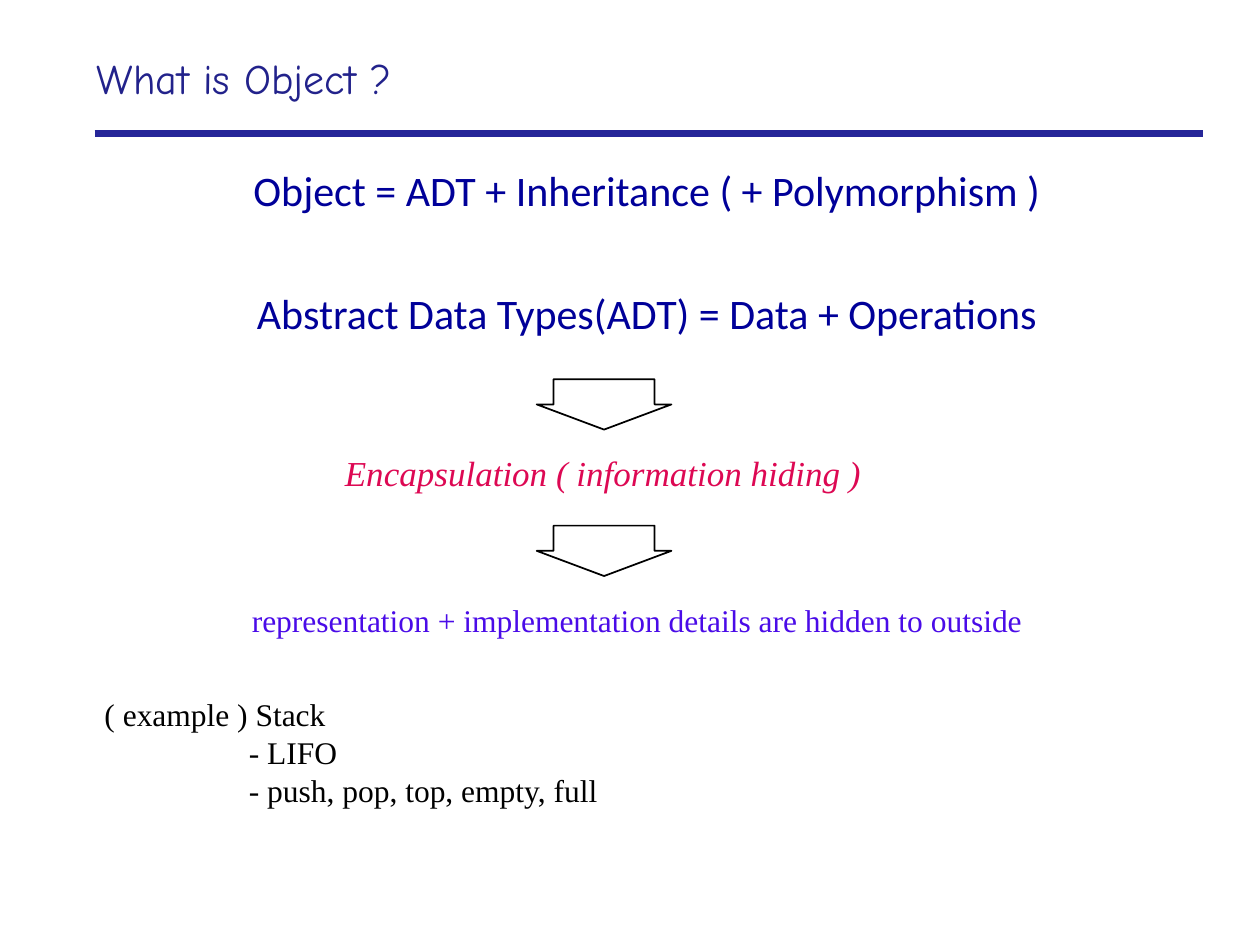
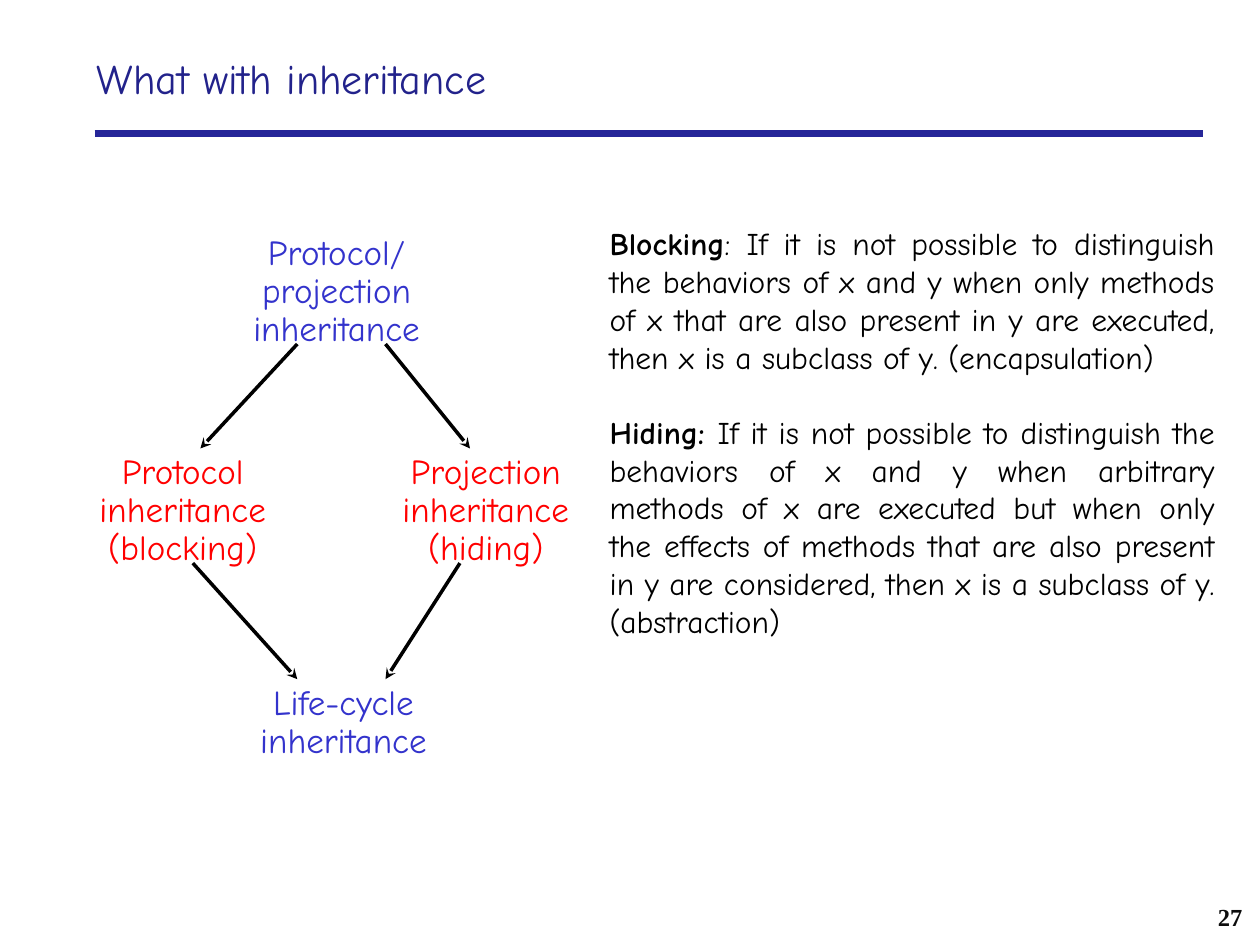
from dataclasses import dataclass

from lxml.etree import SubElement
from pptx import Presentation
from pptx.dml.color import RGBColor
from pptx.enum.shapes import MSO_CONNECTOR, MSO_SHAPE
from pptx.enum.text import MSO_ANCHOR, PP_ALIGN
from pptx.oxml.ns import qn
from pptx.util import Pt


@dataclass(frozen=True)
class Style:
    font: str
    size: float
    color: str
    bold: bool = False
    italic: bool = False


@dataclass(frozen=True)
class Theme:
    rule: str = "262699"
    black: str = "000000"
    white: str = "FFFFFF"
    title: Style = Style("Comic Neue", 24, "22228B")
    formula: Style = Style("Calibri", 24, "000099")
    principle: Style = Style("Times New Roman", 20, "DD0853", italic=True)
    detail: Style = Style("Times New Roman", 18, "4A0BE8")
    example: Style = Style("Times New Roman", 18, "000000")
    general: Style = Style("Comic Neue", 20, "3333CC")
    variant: Style = Style("Comic Neue", 20, "FF0000")
    definition: Style = Style("Comic Neue", 18, "000000")
    number: Style = Style("Times New Roman", 14, "0D0D0D", bold=True)


T = Theme()

# Content; boxes are left, top, width, height in points
FORMULAS = ["Object = ADT + Inheritance ( + Polymorphism )",
            "Abstract Data Types(ADT) = Data + Operations"]
STATEMENTS = [
    ("Encapsulation ( information hiding )", (190, 254.2, 309.6, 31), T.principle),
    ("representation + implementation details are hidden to outside",
     (136.8, 339.8, 455, 29), T.detail),
]
EXAMPLE = ["( example ) Stack", "- LIFO", "- push, pop, top, empty, full"]
DOWN_ARROW_TOPS = [216.7, 300.4]

LABELS = [
    ("Protocol/\vprojection inheritance", (128.2, 131, 128.2, 72), T.general),
    ("Protocol inheritance (blocking)", (16.6, 256.3, 175.7, 72), T.variant),
    ("Projection inheritance (hiding)", (200.9, 256.3, 153.4, 72), T.variant),
    ("Life-cycle\vinheritance", (110.2, 388.1, 172.1, 50.4), T.general),
]
# Start y, end y, and (start x, end x) of the left and right arrow
ARROW_LEVELS = [
    (196.6, 256.3, [(169.9, 114.5), (220.3, 268.6)]),
    (321.8, 388.1, [(110.2, 169.9), (262.8, 220.3)]),
]
DEFINITIONS = [
    ("Blocking",
     ": If it is not possible to distinguish the behaviors of x and y when only "
     "methods of x that are also present in y are executed, then x is a subclass "
     "of y. (encapsulation)"),
    ("Hiding: ",
     "If it is not possible to distinguish the behaviors of x and y when arbitrary "
     "methods of x are executed but when only the effects of methods that are also "
     "present in y are considered, then x is a subclass of y. (abstraction)"),
]


def rgb(color):
    return RGBColor.from_string(color)


def points(values):
    return [Pt(v) for v in values]


def format_runs(p, style):
    for r in p.runs:
        f = r.font
        f.name, f.size, f.bold, f.italic = style.font, Pt(style.size), style.bold, style.italic
        f.color.rgb = rgb(style.color)


def add_text(s, lines, box, style, align=PP_ALIGN.LEFT, anchor=MSO_ANCHOR.TOP,
             wrap=True, gap=0, spacing=None):
    """Add a text box, one paragraph per line; gap is the space between paragraphs."""
    tf = s.shapes.add_textbox(*points(box)).text_frame
    tf.word_wrap, tf.vertical_anchor = wrap, anchor
    for i, line in enumerate(lines):
        p = tf.paragraphs[0] if i == 0 else tf.add_paragraph()
        if isinstance(line, str):
            p.text = line
        else:
            for part in line:
                p.add_run().text = part
        p.alignment = align
        if spacing:
            p.line_spacing = spacing
        if i and gap:
            p.space_before = Pt(gap)
        format_runs(p, style)
    return tf


def add_line(s, start, end, color, width, arrow=False):
    c = s.shapes.add_connector(MSO_CONNECTOR.STRAIGHT, *points(start + end))
    c.line.color.rgb, c.line.width = rgb(color), Pt(width)
    if arrow:
        SubElement(c.line._get_or_add_ln(), qn("a:tailEnd"), type="stealth")
    SubElement(c._element.spPr, qn("a:effectLst"))


def add_slide(prs, title):
    s = prs.slides.add_slide(prs.slide_layouts[6])
    add_line(s, (54, 76.3), (687.6, 76.3), T.rule, 4)
    add_text(s, [title], (48.2, 20.2, 595.4, 48.2), T.title, anchor=MSO_ANCHOR.MIDDLE)
    return s


def build_object(prs):
    s = add_slide(prs, "What is Object ?")
    add_text(s, FORMULAS, (54, 90.7, 631.4, 415.4), T.formula, PP_ALIGN.CENTER, gap=41.3)
    for text, box, style in STATEMENTS:
        add_text(s, [text], box, style, wrap=False)
    for top in DOWN_ARROW_TOPS:
        sp = s.shapes.add_shape(MSO_SHAPE.DOWN_ARROW, *points((306.7, top, 77, 28.8)))
        sp.adjustments[0], sp.adjustments[1] = 0.75, 0.5
        sp.shadow.inherit = False
        sp.fill.solid()
        sp.fill.fore_color.rgb = rgb(T.white)
        sp.line.color.rgb, sp.line.width = rgb(T.black), Pt(1)
    tf = add_text(s, EXAMPLE, (52.6, 393.8, 300, 72), T.example)
    for p in tf.paragraphs[1:]:
        p._p.get_or_add_pPr().set("marL", str(Pt(82.5)))


def build_inheritance(prs):
    s = add_slide(prs, "What with inheritance")
    add_text(s, ["27"], (614.9, 511.9, 102.2, 23.8), T.number, PP_ALIGN.RIGHT,
             MSO_ANCHOR.MIDDLE)
    for text, box, style in LABELS:
        add_text(s, [text], box, style, PP_ALIGN.CENTER, spacing=0.9)
    for y1, y2, pairs in ARROW_LEVELS:
        for x1, x2 in pairs:
            add_line(s, (x1, y1), (x2, y2), T.black, 2, arrow=True)
    tf = add_text(s, DEFINITIONS, (341.3, 124.6, 360, 244.8), T.definition,
                  PP_ALIGN.JUSTIFY, gap=21.4)
    for p in tf.paragraphs:
        p.runs[0].font.bold = True


def main():
    prs = Presentation()
    prs.slide_width, prs.slide_height = Pt(720), Pt(540)
    build_object(prs)
    build_inheritance(prs)
    prs.save("out.pptx")


if __name__ == "__main__":
    main()
